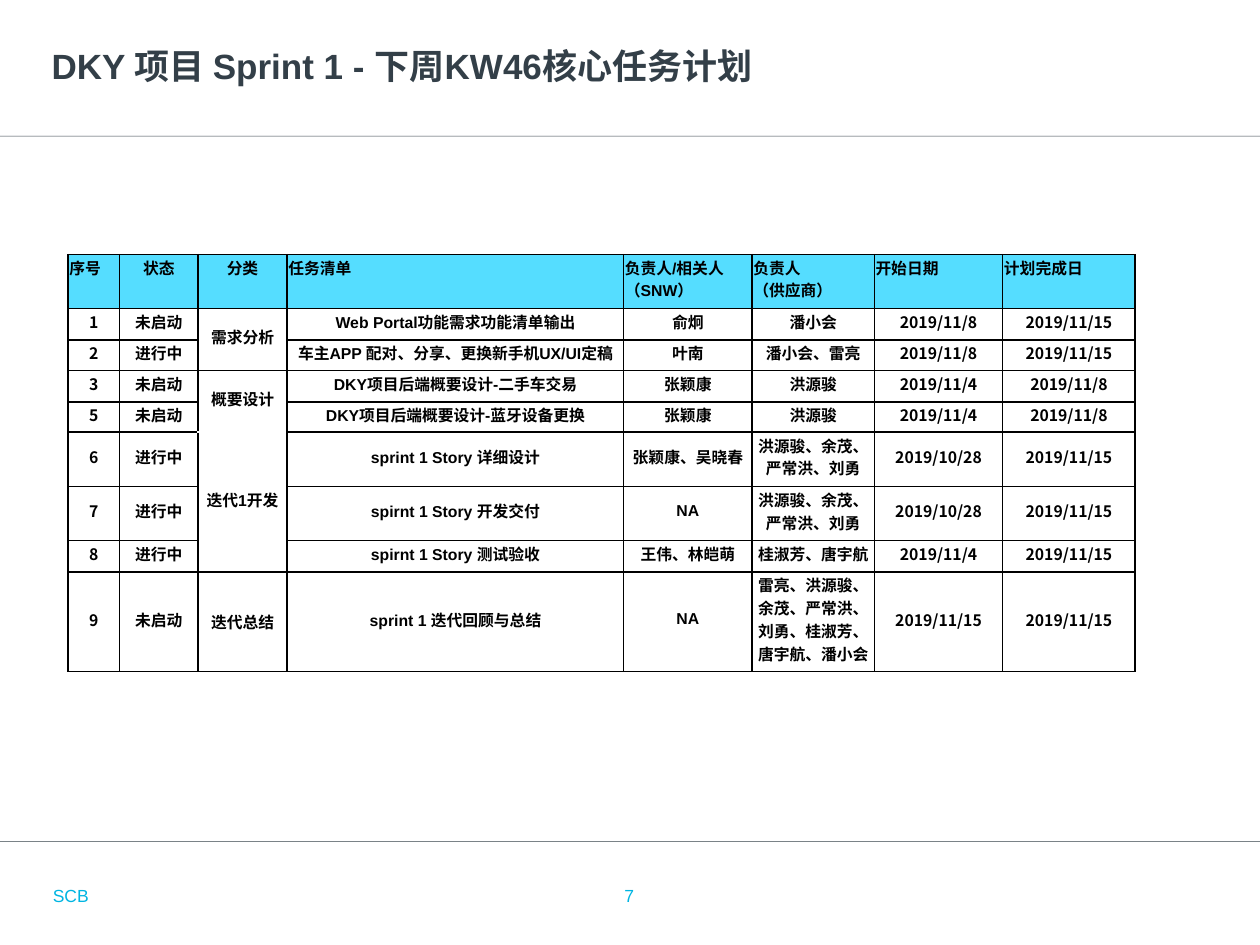
from dataclasses import dataclass
from lxml.etree import SubElement
from pptx import Presentation
from pptx.dml.color import RGBColor
from pptx.enum.shapes import MSO_CONNECTOR
from pptx.enum.text import MSO_ANCHOR, PP_ALIGN
from pptx.oxml.ns import qn
from pptx.util import Inches, Pt


@dataclass(frozen=True)
class Theme:
    ink: str = "333F48"
    accent: str = "00B5E2"
    header: str = "55DDFF"
    black: str = "000000"
    white: str = "FFFFFF"
    latin: str = "Arial"
    chinese: str = "Noto Sans CJK SC"
    title_size: int = 20
    footer_size: int = 10
    table_size: int = 9


theme = Theme()


def write(frame, text, size, color, font=theme.latin, bold=False,
          align=PP_ALIGN.LEFT, anchor=MSO_ANCHOR.MIDDLE):
    frame.word_wrap = True
    frame.vertical_anchor = anchor
    for index, line in enumerate(text.split("\n")):
        para = frame.add_paragraph() if index else frame.paragraphs[0]
        para.alignment = align
        span = para.add_run()
        span.text = line
        span.font.size = Pt(size)
        span.font.bold = bold
        span.font.name = font
        span.font.color.rgb = RGBColor.from_string(color)
        SubElement(span.font._element, qn("a:ea"), typeface=theme.chinese)


def draw_border(cell, side, color):
    edge = SubElement(cell._tc.get_or_add_tcPr(), qn(f"a:ln{side}"), w=str(Pt(1)))
    SubElement(SubElement(edge, qn("a:solidFill")), qn("a:srgbClr"), val=color)


deck = Presentation()
deck.slide_width, deck.slide_height = Inches(10), Inches(7.5)
column, row = deck.slide_width / 10, deck.slide_height / 7.5
page = deck.slides.add_slide(deck.slide_layouts[6])

for level in (6.68, 1.08):
    y = int(level * row)
    rule = page.shapes.add_connector(MSO_CONNECTOR.STRAIGHT, 0, y, deck.slide_width, y + Pt(0.05))
    rule.line.color.rgb = RGBColor.from_string(theme.ink)
    rule.line.width = Pt(0.25)
    SubElement(rule._element.spPr, qn("a:effectLst"))

footer = dict(size=theme.footer_size, color=theme.accent)
heading = dict(size=theme.title_size, color=theme.ink, bold=True)
for text, left, top, width, height, style in (
    ("SCB", 0.42, 6.95, 3.07, 0.31, footer),
    ("7", 3.83, 6.95, 2.33, 0.31, footer | dict(align=PP_ALIGN.CENTER)),
    ("DKY 项目 Sprint 1 - 下周KW46核心任务计划", 0.41, 0.21, 8, 0.62, heading),
):
    box = page.shapes.add_textbox(int(left * column), int(top * row),
                                  int(width * column), int(height * row))
    frame = box.text_frame
    frame.margin_left = frame.margin_right = frame.margin_top = frame.margin_bottom = 0
    write(frame, text, **style)

waiting, active = "未启动", "进行中"
tasks = [
    ("序号", "状态", "分类", "任务清单", "负责人/相关人\n（SNW）", "负责人\n（供应商）", "开始日期", "计划完成日"),
    ("1", waiting, "需求分析", "Web Portal功能需求功能清单输出", "俞炯", "潘小会", "2019/11/8", "2019/11/15"),
    ("2", active, "", "车主APP 配对、分享、更换新手机UX/UI定稿", "叶南", "潘小会、雷亮", "2019/11/8", "2019/11/15"),
    ("3", waiting, "概要设计", "DKY项目后端概要设计-二手车交易", "张颖康", "洪源骏", "2019/11/4", "2019/11/8"),
    ("5", waiting, "", "DKY项目后端概要设计-蓝牙设备更换", "张颖康", "洪源骏", "2019/11/4", "2019/11/8"),
    ("6", active, "迭代1开发", "sprint 1 Story 详细设计", "张颖康、吴晓春", "洪源骏、余茂、严常洪、刘勇", "2019/10/28", "2019/11/15"),
    ("7", active, "", "spirnt 1 Story 开发交付", "NA", "洪源骏、余茂、严常洪、刘勇", "2019/10/28", "2019/11/15"),
    ("8", active, "", "spirnt 1 Story 测试验收", "王伟、林皑萌", "桂淑芳、唐宇航", "2019/11/4", "2019/11/15"),
    ("9", waiting, "迭代总结", "sprint 1 迭代回顾与总结", "NA", "雷亮、洪源骏、余茂、严常洪、刘勇、桂淑芳、唐宇航、潘小会", "2019/11/15", "2019/11/15"),
]
widths = [0.41, 0.62, 0.71, 2.67, 1.02, 0.97, 1.02, 1.05]
heights = [0.43, 0.25, 0.24, 0.25, 0.24, 0.43, 0.43, 0.25, 0.79]
category = 2
open_edges = {(3, "B"), (4, "B"), (5, "T")}

table = page.shapes.add_table(len(tasks), len(widths), int(0.54 * column), int(2.02 * row),
                              int(sum(widths) * column), int(sum(heights) * row)).table
for index, width in enumerate(widths):
    table.columns[index].width = int(width * column)
for index, height in enumerate(heights):
    table.rows[index].height = int(height * row)

for r, task in enumerate(tasks):
    for c, text in enumerate(task):
        cell = table.cell(r, c)
        for side in "LRTB":
            is_open = c == category and (r, side) in open_edges
            draw_border(cell, side, theme.white if is_open else theme.black)
        cell.fill.solid()
        cell.fill.fore_color.rgb = RGBColor.from_string(theme.white if r else theme.header)
        if text != "迭代总结":
            cell.margin_left = cell.margin_right = cell.margin_top = Inches(0.01)
        cell.margin_bottom = Inches(0.05)
        if text:
            write(cell.text_frame, text, size=theme.table_size, color=theme.black, bold=True,
                  font=theme.chinese if r and c in (0, 1, 6, 7) else theme.latin,
                  align=PP_ALIGN.CENTER if r or c in (1, 2) else PP_ALIGN.LEFT)
        cell.vertical_anchor = MSO_ANCHOR.MIDDLE if r else MSO_ANCHOR.TOP

for first, last in ((1, 2), (3, 4), (5, 7)):
    table.cell(first, category).merge(table.cell(last, category))

deck.save("out.pptx")
